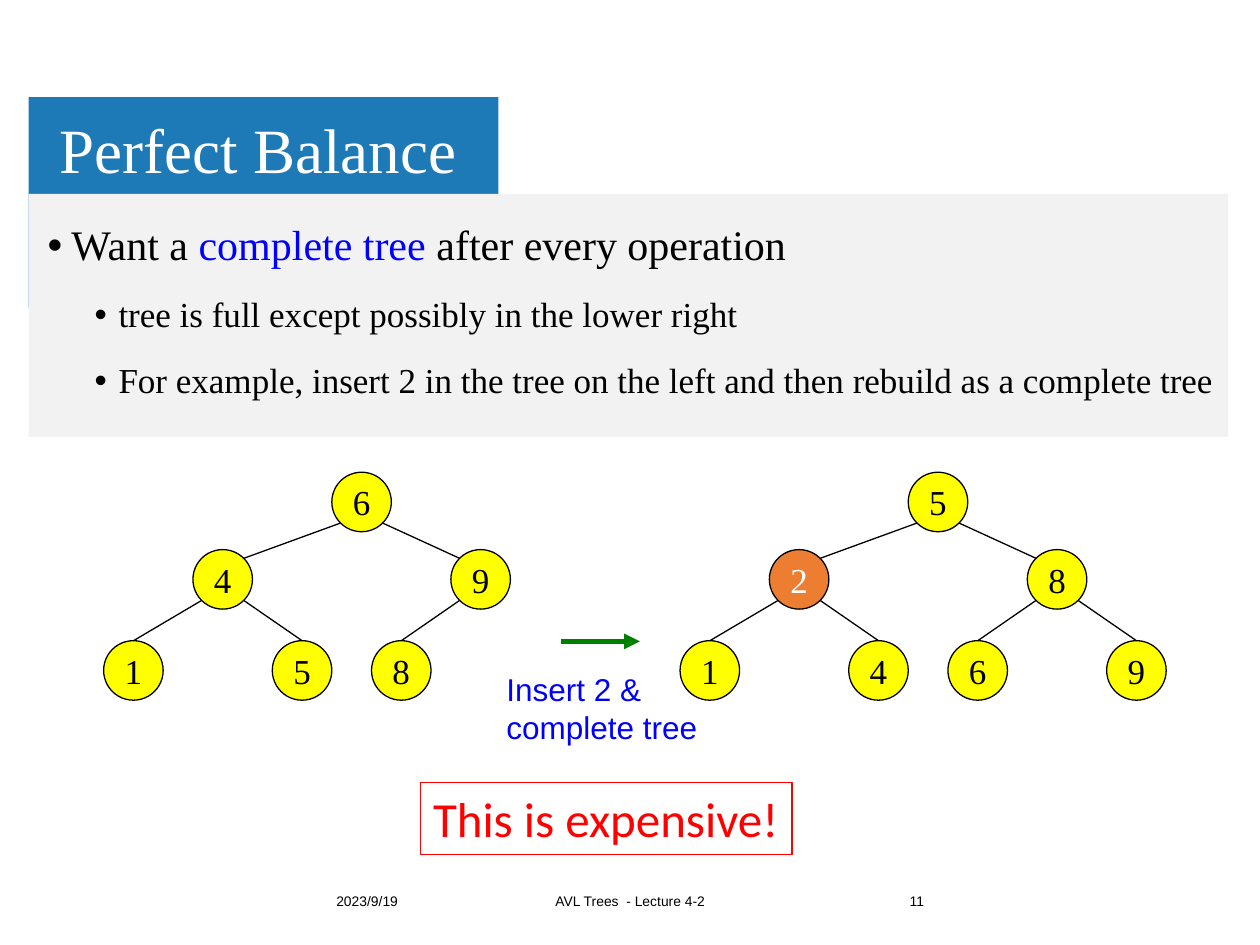
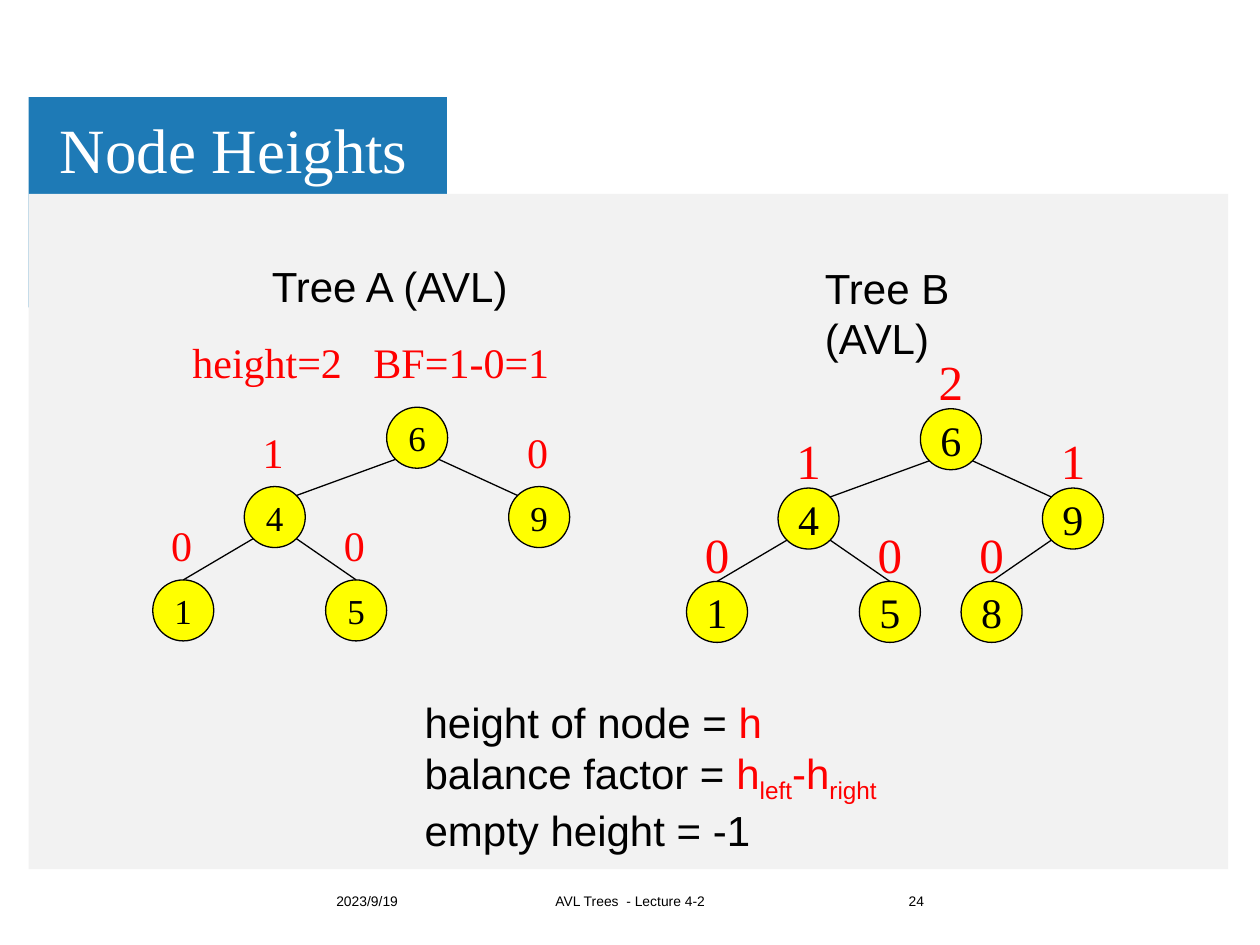
from math import sqrt

from lxml import etree
from pptx import Presentation
from pptx.dml.color import RGBColor
from pptx.enum.shapes import MSO_CONNECTOR, MSO_SHAPE
from pptx.enum.text import MSO_ANCHOR, MSO_AUTO_SIZE, PP_ALIGN
from pptx.oxml.ns import qn
from pptx.util import Cm, Pt

LEFT, MID, RIGHT = PP_ALIGN.LEFT, PP_ALIGN.CENTER, PP_ALIGN.RIGHT
TOP, CENTER = MSO_ANCHOR.TOP, MSO_ANCHOR.MIDDLE
RECT, OVAL = MSO_SHAPE.RECTANGLE, MSO_SHAPE.OVAL
STRAIGHT = MSO_CONNECTOR.STRAIGHT
NOFIT = MSO_AUTO_SIZE.NONE

BLACK = RGBColor(0x00, 0x00, 0x00)
WHITE = RGBColor(0xFF, 0xFF, 0xFF)
TEAL = RGBColor(0x1E, 0x7A, 0xB6)
GREY = RGBColor(0xF2, 0xF2, 0xF2)
BLUE = RGBColor(0x00, 0x00, 0xFF)
RED = RGBColor(0xFF, 0x00, 0x00)
GREEN = RGBColor(0x00, 0x80, 0x00)
YELLOW = RGBColor(0xFF, 0xFF, 0x00)
ORANGE = RGBColor(0xED, 0x7D, 0x31)

SERIF, SANS, HUMAN = "Times New Roman", "Arial", "Calibri"

# Content: a paragraph is a list of runs (text, colour, baseline shift in %)
DATE, COURSE = "2023/9/19", "AVL Trees  - Lecture 4-2"

# Slide heads: title, tab width, title width, panel height, page number (cm)
BALANCE = ("Perfect Balance", 9.47, 18.06, 4.9, "11")
HEIGHTS = ("Node Heights", 8.43, 19.61, 13.61, "24")

POINTS = [
    (0, [("Want a ", BLACK), ("complete tree", BLUE),
         (" after every operation", BLACK)]),
    (1, [("tree is full except possibly in the lower right", BLACK)]),
    (1, [("For example, insert 2 in the tree on the left and then rebuild "
          "as a complete tree", BLACK)]),
]
STEP = [[("Insert 2 &", BLUE)], [("complete tree", BLUE)]]
COST = [[("This is expensive!", RED)]]
RULES = [
    [("height of node = ", BLACK), ("h", RED)],
    [("balance factor = ", BLACK), ("h", RED), ("left", RED, -25),
     ("-h", RED), ("right", RED, -25)],
    [("empty height = -1", BLACK)],
]
ROOT = [[("height=2   BF=1-0=1", RED)]]

# Trees list their keys level by level; None is a missing node
BEFORE = dict(keys=[6, 4, 9, 1, 5, 8, None], at=(2.09, 9.52), dia=1.2,
              size=20)
AFTER = dict(keys=[5, 2, 8, 1, 4, 6, 9], at=(13.71, 9.52), dia=1.2,
             size=20, new=2)
TREE_A = dict(keys=[6, 4, 9, 1, 5, None, None], at=(3.08, 8.21), dia=1.23,
              size=20, tags=[None, 1, 0, 0, 0], tag=(24, 1.34, 1.27))
TREE_B = dict(keys=[6, 4, 9, 1, 5, 8, None], at=(13.84, 8.24), dia=1.23,
              size=24, tags=[2, 1, 1, 0, 0, 0], tag=(28, 1.28, 1.45))

# Left and top of each tree slot, in node diameters
COLS = [23 / 6, 9 / 6, 35 / 6, 0, 17 / 6, 27 / 6, 43 / 6]
ROWS = [0, 1.3, 1.3, 2.83, 2.83, 2.83, 2.83]


def write(para, runs, size, font):
    for text, color, *shift in runs:
        run = para.add_run()
        run.text = text
        run.font.size, run.font.name = Pt(size), font
        run.font.color.rgb = color
        if shift:
            run._r.get_or_add_rPr().set("baseline", str(shift[0] * 1000))


def fill_text(frame, paras, size, font, align=LEFT, anchor=TOP, wrap=True):
    frame.word_wrap, frame.vertical_anchor = wrap, anchor
    frame.auto_size = NOFIT
    for i, runs in enumerate(paras):
        para = frame.add_paragraph() if i else frame.paragraphs[0]
        para.alignment = align
        write(para, runs, size, font)


def add_text(slide, box, paras, size, font, **look):
    shape = slide.shapes.add_textbox(*map(Cm, box))
    fill_text(shape.text_frame, paras, size, font, **look)
    return shape


def add_form(slide, kind, box, fill, edge=None):
    shape = slide.shapes.add_shape(kind, *map(Cm, box))
    shape.shadow.inherit = False
    shape.fill.solid()
    shape.fill.fore_color.rgb = fill
    if edge is None:
        shape.line.fill.background()
    else:
        shape.line.color.rgb, shape.line.width = edge, Pt(0.75)
    return shape


def add_line(slide, start, end, color=BLACK, width=0.75, arrow=False):
    line = slide.shapes.add_connector(STRAIGHT, *map(Cm, (*start, *end)))
    line.line.color.rgb, line.line.width = color, Pt(width)
    props = line._element.spPr
    if arrow:
        tail = etree.SubElement(props.find(qn("a:ln")), qn("a:tailEnd"))
        tail.set("type", "triangle")
    etree.SubElement(props, qn("a:effectLst"))


def add_slide(deck, name, tab, span, depth, page):
    slide = deck.slides.add_slide(deck.slide_layouts[5])
    # Title tab and content panel
    add_form(slide, RECT, (0.58, 1.96, tab, 4.24), TEAL)
    add_form(slide, RECT, (0.58, 3.91, 24.18, depth), GREY)
    # Title, brought in front of the bands
    title = slide.shapes.title
    slide.shapes._spTree.append(title._element)
    title.left, title.top, title.width, title.height = map(
        Cm, (1.02, 2.08, span, 2.01))
    frame = title.text_frame
    fill_text(frame, [[(name, WHITE)]], 36, SERIF, anchor=CENTER)
    frame.margin_left = frame.margin_right = Cm(0.18)
    frame.margin_top = frame.margin_bottom = Cm(0.1)
    frame.paragraphs[0].line_spacing = 0.9
    # Footer
    for left, width, text, align in ((6.53, 3.23, DATE, LEFT),
                                     (10.29, 4.83, COURSE, MID),
                                     (15.65, 3.23, page, RIGHT)):
        add_text(slide, (left, 17.65, width, 1.02), [[(text, BLACK)]],
                 7.9, SANS, align=align, anchor=CENTER)
    return slide


def add_points(slide):
    shape = add_text(slide, (0.71, 4.4, 24.28, 4.04), [], 24, SERIF)
    frame = shape.text_frame
    for i, (level, runs) in enumerate(POINTS):
        para = frame.add_paragraph() if i else frame.paragraphs[0]
        para.level, para.line_spacing = level, 0.9
        if i:
            para.space_before = Pt(16)
        props = para._p.get_or_add_pPr()
        props.set("marL", str(Cm(1.43 if level else 0.48)))
        props.set("indent", str(Cm(-0.48)))
        face = etree.SubElement(props, qn("a:buFont"))
        face.set("typeface", SANS)
        etree.SubElement(props, qn("a:buChar")).set("char", "•")
        write(para, runs, 20 if level else 24, SERIF)


def add_tree(slide, keys, at, dia, size, new=None, tags=(), tag=None):
    spots = [(at[0] + col * dia, at[1] + row * dia)
             for col, row in zip(COLS, ROWS)]
    # Nodes
    for key, (x, y) in zip(keys, spots):
        if key is None:
            continue
        fill, ink = (ORANGE, WHITE) if key == new else (YELLOW, BLACK)
        node = add_form(slide, OVAL, (x, y, dia, dia), fill, BLACK)
        fill_text(node.text_frame, [[(str(key), ink)]], size, SERIF,
                  align=MID, anchor=CENTER, wrap=False)
    # Edges leave a node on its diagonal and enter a leaf at its top
    near = dia * (1 - sqrt(0.5)) / 2
    far = dia - near
    for i in range(1, len(keys)):
        if keys[i] is None:
            continue
        (px, py), (x, y) = spots[(i - 1) // 2], spots[i]
        left = i % 2 == 1
        start = (px + (near if left else far), py + far)
        if i < 3:
            end = (x + (far if left else near), y + near)
        else:
            end = (x + dia / 2, y)
        add_line(slide, start, end)
    # Heights above the nodes
    for mark, (x, y) in zip(tags, spots):
        if mark is not None:
            points, lift, tall = tag
            add_text(slide, (x + 0.12, y - lift, 1.33, tall),
                     [[(str(mark), RED)]], points, SERIF)


def main():
    deck = Presentation()
    deck.slide_width, deck.slide_height = Cm(25.4), Cm(19.05)

    # Perfect balance
    slide = add_slide(deck, *BALANCE)
    add_points(slide)
    add_text(slide, (9.96, 13.39, 4.34, 1.8), STEP, 18, SANS, wrap=False)
    for tree in (BEFORE, AFTER):
        add_tree(slide, **tree)
    add_line(slide, (11.3, 12.93), (12.9, 12.93), GREEN, 3, arrow=True)
    cost = add_text(slide, (8.48, 15.78, 7.49, 1.45), COST, 28, HUMAN,
                    wrap=False)
    cost.line.color.rgb, cost.line.width = RED, Pt(0.75)

    # Node heights
    slide = add_slide(deck, *HEIGHTS)
    for tree in (TREE_B, TREE_A):
        add_tree(slide, **tree)
    add_text(slide, (8.31, 13.92, 9.83, 3.33), RULES, 24, SANS, wrap=False)
    add_text(slide, (3.63, 6.65, 8.66, 1.55), ROOT, 24, SERIF, wrap=False)
    for left, top, width, name in ((5.23, 5.13, 5.87, "Tree A (AVL)"),
                                   (16.38, 5.16, 5.08, "Tree B (AVL)")):
        add_text(slide, (left, top, width, 1.27), [[(name, BLACK)]], 24, SANS)

    deck.save("out.pptx")


if __name__ == "__main__":
    main()
